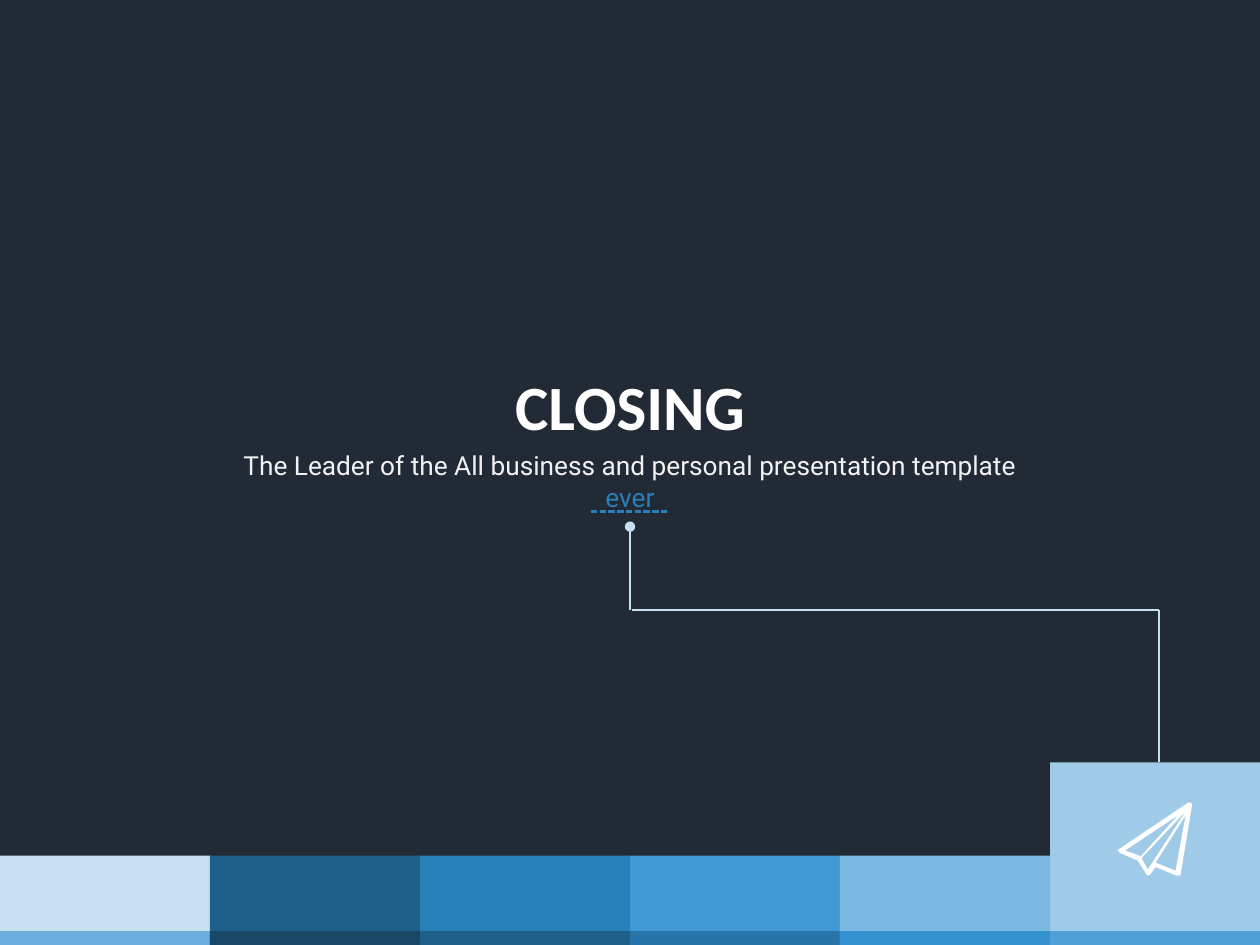
"""Build the closing slide: centred title, guide line, colour strip and paper plane."""
from lxml import etree
from pptx import Presentation
from pptx import util as u
from pptx.dml.color import RGBColor
from pptx.enum import dml, shapes, text
from pptx.oxml.ns import qn

COLORS = {"bg": "222A35", "white": "FFFFFF", "soft": "F2F2F2", "blue": "2980B9", "pale": "C6E0F2"}
TILES = ["C6E0F2", "1F608B", "2980B9", "4098D4", "7BB8E1", "9FCBE9"]
BASES = ["6CAFDE", "174868", "1F608B", "2674A9", "3492D1", "4FA0D7"]
W, H = u.Inches(10), u.Inches(7.5)
COL = W / len(TILES)
STRIP_TOP, BASE_TOP, ICON_TOP = 6.79, 7.39, 6.05
CENTER, TURN_X, TURN_Y = 5, 9.2, 4.84

prs = Presentation()
prs.slide_width, prs.slide_height = W, H
s = prs.slides.add_slide(prs.slide_layouts[5])
s.background.fill.solid()
s.background.fill.fore_color.rgb = RGBColor.from_string(COLORS["bg"])


def paint(sp, color):
    sp.shadow.inherit = False
    sp.fill.solid()
    sp.fill.fore_color.rgb = RGBColor.from_string(color)
    sp.line.fill.background()


def add_run(p, words, font, size, color, bold=False):
    r = p.add_run()
    r.text = words
    r.font.name, r.font.size, r.font.bold = font, u.Pt(size), bold
    r.font.color.rgb = RGBColor.from_string(color)


title = s.shapes.title
subtitle = s.shapes.add_textbox(0, 0, 0, 0)
for sp, width, top, height, wrap in [(title, 2.04, 2.87, 0.71, False), (subtitle, 6.51, 3.52, 0.6, True)]:
    sp.left, sp.top = u.Inches(CENTER - width / 2), u.Inches(top)
    sp.width, sp.height = u.Inches(width), u.Inches(height)
    tf = sp.text_frame
    tf.word_wrap, tf.auto_size = wrap, text.MSO_AUTO_SIZE.NONE
    tf.vertical_anchor = text.MSO_ANCHOR.TOP
    tf.paragraphs[0].alignment = text.PP_ALIGN.CENTER

add_run(title.text_frame.paragraphs[0], "CLOSING", "Calibri", 36, COLORS["white"], True)
p = subtitle.text_frame.paragraphs[0]
add_run(p, "The Leader of the All business and personal presentation template ", "Roboto", 15, COLORS["soft"])
add_run(p, "ever", "Roboto", 15, COLORS["blue"])

for i, (tile, base) in enumerate(zip(TILES, BASES)):
    tile_top = ICON_TOP if i == len(TILES) - 1 else STRIP_TOP
    for top, color in [(tile_top, tile), (BASE_TOP, base)]:
        y = u.Inches(top)
        sp = s.shapes.add_shape(shapes.MSO_SHAPE.RECTANGLE, int(i * COL), y, int(COL), H - y)
        paint(sp, color)

LINES = [
    (CENTER + 0.02, TURN_Y, TURN_X, TURN_Y, "pale", None),
    (TURN_X, TURN_Y, TURN_X, ICON_TOP, "pale", None),
    (CENTER - 0.31, 4.06, CENTER + 0.31, 4.06, "blue", "dash"),
    (CENTER, 4.18, CENTER, TURN_Y, "pale", "dot"),
]
for x1, y1, x2, y2, color, style in LINES:
    sp = s.shapes.add_connector(shapes.MSO_CONNECTOR.STRAIGHT, *map(u.Inches, (x1, y1, x2, y2)))
    sp.line.color.rgb = RGBColor.from_string(COLORS[color])
    sp.line.width = u.Pt(1.25)
    etree.SubElement(sp._element.spPr, qn("a:effectLst"))
    if style == "dash":
        sp.line.dash_style = dml.MSO_LINE.SQUARE_DOT
    elif style == "dot":
        etree.SubElement(sp.line._get_or_add_ln(), qn("a:headEnd"), type="oval")

PLANE = [
    [(9.45, 6.37), (9.43, 6.37), (8.88, 6.74), (8.87, 6.75), (8.88, 6.76), (8.89, 6.77),
     (9.03, 6.83), (9.1, 6.94), (9.11, 6.95), (9.13, 6.94), (9.17, 6.88), (9.34, 6.95),
     (9.36, 6.95), (9.37, 6.94), (9.46, 6.39), (9.46, 6.38)],
    [(8.93, 6.75), (9.35, 6.47), (9.05, 6.8), (9.04, 6.79)],
    [(9.06, 6.81), (9.41, 6.44), (9.11, 6.9)],
    [(9.33, 6.91), (9.18, 6.85), (9.17, 6.85), (9.41, 6.47)],
]
outline, *folds = PLANE
plane = s.shapes.build_freeform(*outline[0], scale=u.Inches(1))
plane = s.shapes.build_freeform(*map(u.Inches, outline[0]))
plane.add_line_segments([tuple(map(u.Inches, pt)) for pt in outline[1:]])
for fold in folds:
    points = [tuple(map(u.Inches, pt)) for pt in fold]
    plane.move_to(*points[0])
    plane.add_line_segments(points[1:])
paint(plane.convert_to_shape(), COLORS["white"])

prs.save("out.pptx")
